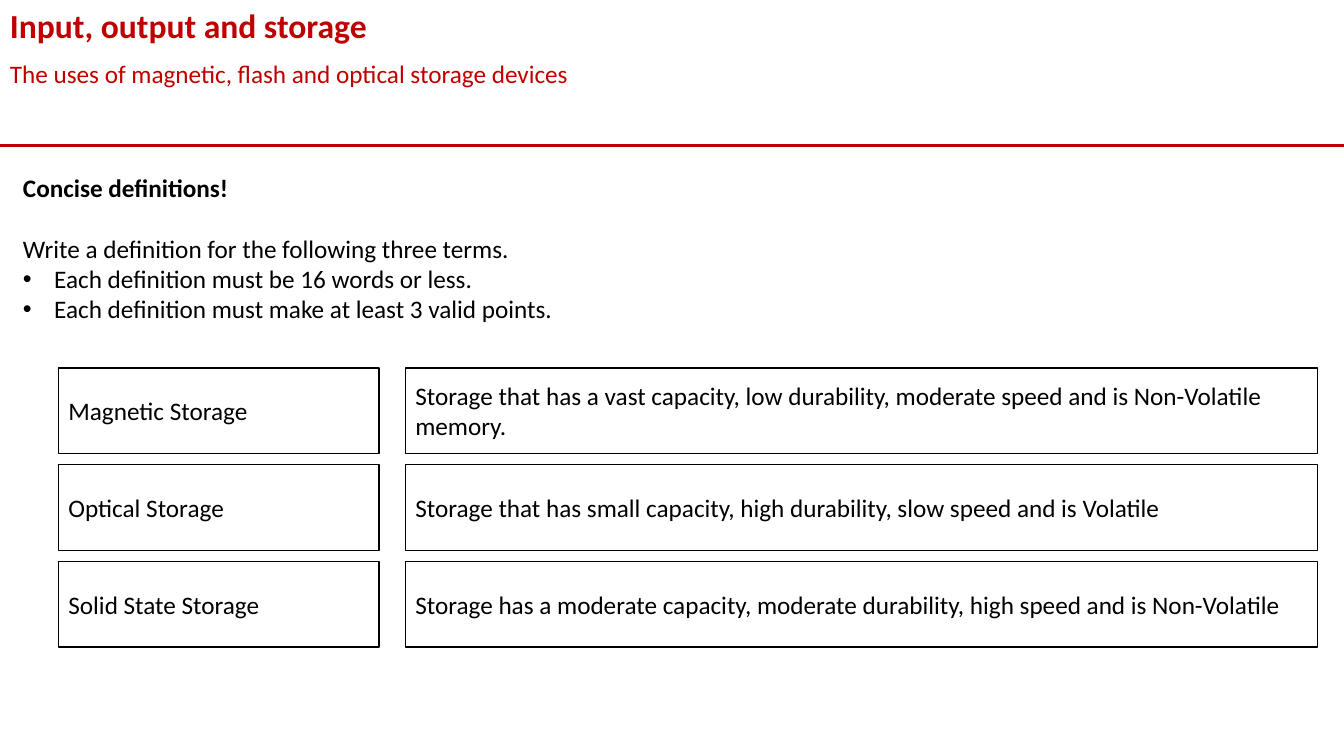
from lxml import etree
from pptx import Presentation, util as u
from pptx.dml.color import RGBColor
from pptx.enum import shapes, text
from pptx.oxml import ns

RED = RGBColor(0xC0, 0x00, 0x00)
BLACK = RGBColor(0x00, 0x00, 0x00)

SLIDE_WIDTH, SLIDE_HEIGHT = 13.33, 7.5
ROW_TOP, ROW_PITCH, ROW_HEIGHT = 3.65, 0.96, 0.85
TERM_LEFT, TERM_WIDTH = 0.58, 3.18
DEFINITION_LEFT, DEFINITION_WIDTH = 4.02, 9.05

DEFINITIONS = {
    "Magnetic Storage": "Storage that has a vast capacity, low durability, "
                        "moderate speed and is Non-Volatile memory.",
    "Optical Storage": "Storage that has small capacity, high durability, "
                       "slow speed and is Volatile",
    "Solid State Storage": "Storage has a moderate capacity, moderate durability, "
                           "high speed and is Non-Volatile",
}


def write(paragraph, words, size=18, color=BLACK, bold=False, font="Calibri",
          space_before=0, bullet=False):
    """Fill a paragraph with formatted words."""
    paragraph.alignment = text.PP_ALIGN.LEFT
    paragraph.space_before = u.Pt(space_before)
    run = paragraph.add_run()
    run.text = words
    run.font.name = font
    run.font.size = u.Pt(size)
    run.font.bold = bold
    run.font.color.rgb = color
    if bullet:
        properties = paragraph._p.get_or_add_pPr()
        properties.set("marL", str(u.Inches(0.31)))
        properties.set("indent", str(u.Inches(-0.31)))
        etree.SubElement(properties, ns.qn("a:buFont"), typeface="Arial")
        etree.SubElement(properties, ns.qn("a:buChar"), char="•")


class SlideBuilder:
    """Holds the line style and the current slide."""

    def __init__(self, slide, line_color=BLACK, line_width=1):
        """Keep the slide and the outline style of its boxes."""
        self.slide = slide
        self.line_color = line_color
        self.line_width = line_width

    def text_box(self, left, top, width, height, *lines):
        """Add a wrapped text box; each line is (words, format)."""
        shape = self.slide.shapes.add_textbox(
            *map(u.Inches, (left, top, width, height)))
        frame = shape.text_frame
        frame.word_wrap = True
        frame.auto_size = text.MSO_AUTO_SIZE.SHAPE_TO_FIT_TEXT
        for index, (words, style) in enumerate(lines):
            paragraph = frame.add_paragraph() if index else frame.paragraphs[0]
            write(paragraph, words, **style)

    def box(self, left, top, width, height, words):
        """Add an outlined rectangle with vertically centred words."""
        shape = self.slide.shapes.add_shape(
            shapes.MSO_SHAPE.RECTANGLE,
            *map(u.Inches, (left, top, width, height)))
        shape.shadow.inherit = False
        shape.fill.background()
        shape.line.color.rgb = self.line_color
        shape.line.width = u.Pt(self.line_width)
        frame = shape.text_frame
        frame.word_wrap = True
        frame.vertical_anchor = text.MSO_ANCHOR.MIDDLE
        write(frame.paragraphs[0], words)

    def rule(self, top, color, width):
        """Add a horizontal line across the slide."""
        line = self.slide.shapes.add_connector(
            shapes.MSO_CONNECTOR.STRAIGHT, u.Inches(0), u.Inches(top),
            u.Inches(SLIDE_WIDTH), u.Inches(top))
        line.line.color.rgb = color
        line.line.width = u.Pt(width)
        etree.SubElement(line._element.spPr, ns.qn("a:effectLst"))


def main():
    """Build and save the storage definitions slide."""
    presentation = Presentation()
    presentation.slide_width = u.Inches(SLIDE_WIDTH)
    presentation.slide_height = u.Inches(SLIDE_HEIGHT)
    builder = SlideBuilder(
        presentation.slides.add_slide(presentation.slide_layouts[6]))

    builder.rule(1.44, RED, 2.25)
    builder.text_box(
        0, 0.53, SLIDE_WIDTH, 0.4,
        ("The uses of magnetic, flash and optical storage devices", {"color": RED}))
    builder.text_box(
        0, 0, SLIDE_WIDTH, 0.5,
        ("Input, output and storage", {"size": 24, "color": RED, "bold": True}))
    builder.text_box(
        0.13, 1.66, 13.07, 1.62,
        ("Concise definitions!", {"bold": True}),
        ("Write a definition for the following three terms.", {"space_before": 22}),
        ("Each definition must be 16 words or less.", {"bullet": True}),
        ("Each definition must make at least 3 valid points.", {"bullet": True}))

    for row, (term, definition) in enumerate(DEFINITIONS.items()):
        top = ROW_TOP + row * ROW_PITCH
        builder.box(TERM_LEFT, top, TERM_WIDTH, ROW_HEIGHT, term)
        builder.box(DEFINITION_LEFT, top, DEFINITION_WIDTH, ROW_HEIGHT, definition)

    presentation.save("out.pptx")


main()
